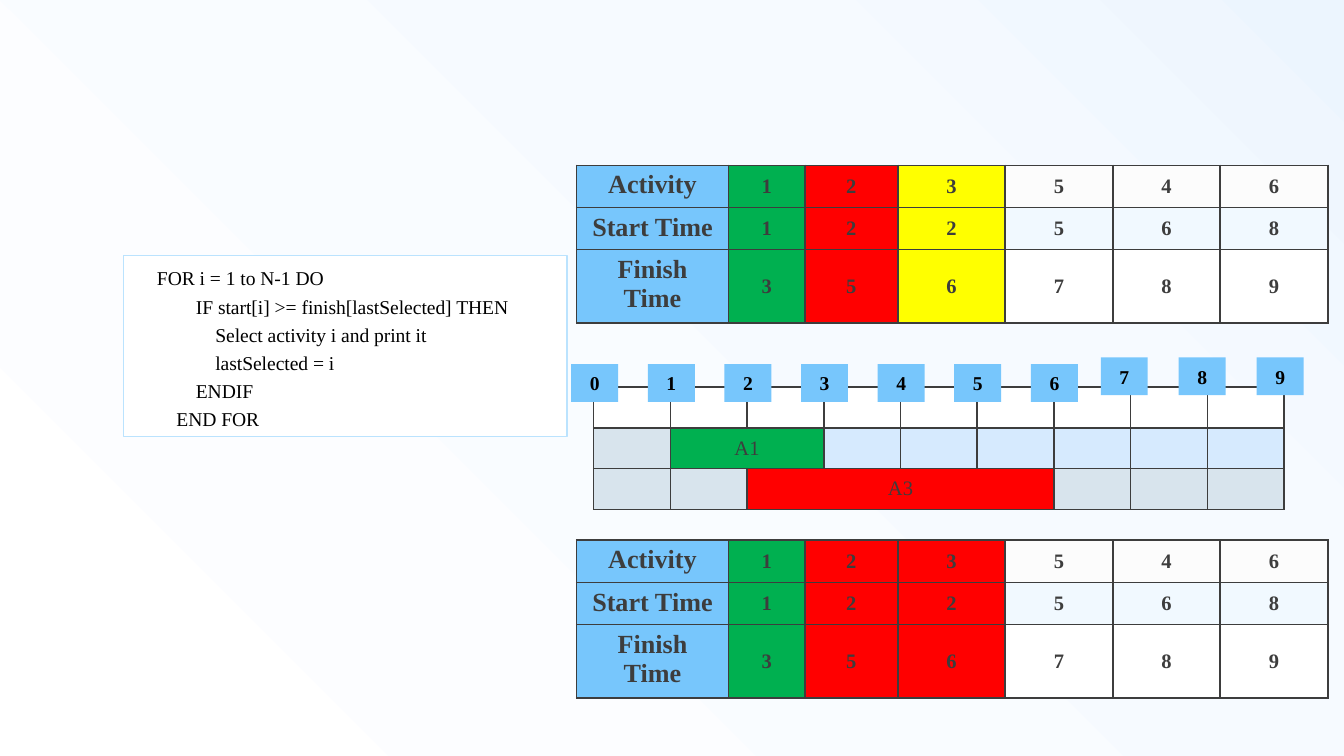
import pptx
import pptx.util
import pptx.oxml
import pptx.oxml.ns
import pptx.dml.color
import pptx.enum.shapes
import pptx.enum.text
from lxml import etree

WIDTH, HEIGHT = pptx.util.Inches(10), pptx.util.Inches(5.625)
FONT = "Times New Roman"
COLORS = {
    "head": "77C6FC", "green": "00B050", "red": "FF0000", "yellow": "FFFF00",
    "row1": "FCFCFC", "row2": "F1F9FF", "white": "FFFFFF", "ink": "3D3D3D",
    "black": "000000", "outline": "BBE3FE", "light": "D6EAFE", "gray": "D8E4ED",
}
BACKGROUND_STOPS = [(0, "ECF5FE"), (29, "F6FAFF"), (99, "FFFFFF")]
CODE = [
    "FOR i = 1 to N-1 DO",
    "        IF start[i] >= finish[lastSelected] THEN",
    "            Select activity i and print it",
    "            lastSelected = i",
    "        ENDIF",
    "    END FOR",
]
ACTIVITIES = [
    ["Activity", "1", "2", "3", "5", "4", "6"],
    ["Start Time", "1", "2", "2", "5", "6", "8"],
    ["Finish Time", "3", "5", "6", "7", "8", "9"],
]
ACTIVITY_COLS = [11.3, 5.7, 6.9, 8, 8, 8, 8]
ACTIVITY_ROWS = [5.51, 5.51, 9.6]
TIMELINE_COLS = [5.71] * 9
TIMELINE_ROWS = [5.4] * 3


def across(share):
    return int(WIDTH * share / 100)


def down(share):
    return int(HEIGHT * share / 100)


def rgb(name):
    return pptx.dml.color.RGBColor.from_string(COLORS[name])


def style_font(p, size, color, bold=False):
    p.font.name = FONT
    p.font.size = pptx.util.Pt(size)
    p.font.bold = bold
    p.font.color.rgb = rgb(color)


def set_background(s):
    s.background.fill.gradient()
    grad = s.background._cSld.bg.bgPr.find(pptx.oxml.ns.qn("a:gradFill"))
    for child in list(grad):
        grad.remove(child)
    stops = etree.SubElement(grad, pptx.oxml.ns.qn("a:gsLst"))
    for position, color in BACKGROUND_STOPS:
        stop = etree.SubElement(stops, pptx.oxml.ns.qn("a:gs"), pos=str(position * 1000))
        etree.SubElement(stop, pptx.oxml.ns.qn("a:srgbClr"), val=color)
    circle = etree.SubElement(grad, pptx.oxml.ns.qn("a:path"))
    circle.set("path", "circle")
    etree.SubElement(circle, pptx.oxml.ns.qn("a:fillToRect"), l="100000", b="100000")


def add_box(s, x, y, w, h, fill, line=None):
    sp = s.shapes.add_shape(pptx.enum.shapes.MSO_SHAPE.RECTANGLE,
                            across(x), down(y), across(w), down(h))
    sp.shadow.inherit = False
    sp.fill.solid()
    sp.fill.fore_color.rgb = rgb(fill)
    if line:
        sp.line.color.rgb = rgb(line)
        sp.line.width = pptx.util.Pt(0.75)
    else:
        sp.line.fill.background()
    tf = sp.text_frame
    tf.word_wrap = True
    tf.auto_size = pptx.enum.text.MSO_AUTO_SIZE.SHAPE_TO_FIT_TEXT
    return tf


def add_code(s):
    tf = add_box(s, 9.2, 33.78, 33, 24, "white", "outline")
    for i, line in enumerate(CODE):
        p = tf.add_paragraph() if i else tf.paragraphs[0]
        p.text = line
        p.alignment = pptx.enum.text.PP_ALIGN.LEFT
        p.line_spacing = 1.2
        p._p.get_or_add_pPr().set("marL", str(pptx.util.Inches(0.15)))
        p._p.get_or_add_pPr().set("indent", "0")
        style_font(p, 10.5, "black")


def add_tick_label(s, tick):
    x, y = (42.5 + 5.7 * tick, 48.18) if tick < 7 else (81.9 + 5.8 * (tick - 7), 47.29)
    p = add_box(s, x, y, 3.5, 4.98, "head").paragraphs[0]
    p.text = str(tick)
    p.alignment = pptx.enum.text.PP_ALIGN.CENTER
    style_font(p, 10.5, "black", True)


def add_grid(s, x, y, cols, rows):
    frame = s.shapes.add_table(len(rows), len(cols), across(x), down(y),
                               across(sum(cols)), down(sum(rows)))
    table = frame.table
    table.first_row = table.horz_banding = False
    for column, share in zip(table.columns, cols):
        column.width = across(share)
    for row, share in zip(table.rows, rows):
        row.height = down(share)
    return table


def add_borders(cell):
    tcPr = cell._tc.get_or_add_tcPr()
    for i, side in enumerate(("lnL", "lnR", "lnT", "lnB")):
        ln = etree.Element(pptx.oxml.ns.qn("a:" + side), w=str(pptx.util.Pt(1)))
        fill = etree.SubElement(ln, pptx.oxml.ns.qn("a:solidFill"))
        etree.SubElement(fill, pptx.oxml.ns.qn("a:srgbClr"), val=COLORS["ink"])
        tcPr.insert(i, ln)


def fill_cell(cell, text, fill, size=11, bold=False, anchor="MIDDLE"):
    cell.margin_left = cell.margin_right = pptx.util.Inches(0.07)
    cell.margin_top = cell.margin_bottom = pptx.util.Inches(0.04)
    cell.vertical_anchor = pptx.enum.text.MSO_ANCHOR[anchor]
    cell.fill.solid()
    cell.fill.fore_color.rgb = rgb(fill)
    add_borders(cell)
    p = cell.text_frame.paragraphs[0]
    if text:
        p.text = text
    p.alignment = pptx.enum.text.PP_ALIGN.CENTER
    style_font(p, size, "ink", bold)
    p._p.get_or_add_endParaRPr().set("sz", str(size * 100))


def add_activities(s, y, third_color):
    table = add_grid(s, 42.9, y, ACTIVITY_COLS, ACTIVITY_ROWS)
    for r, (texts, plain) in enumerate(zip(ACTIVITIES, ("row1", "row2", "white"))):
        fills = ["head", "green", "red", third_color] + [plain] * 3
        for c, (text, fill) in enumerate(zip(texts, fills)):
            if c == 0:
                fill_cell(table.cell(r, c), text, fill, 14, True, "TOP")
            else:
                fill_cell(table.cell(r, c), text, fill, bold=True)


def add_timeline(s):
    table = add_grid(s, 44.17, 51.2, TIMELINE_COLS, TIMELINE_ROWS)
    bars = {1: ("A1", "green", 1, 3), 2: ("A3", "red", 2, 6)}
    for r in range(3):
        name, color, start, finish = bars.get(r, ("", "white", 0, 0))
        for c in range(9):
            if start <= c < finish:
                fill_cell(table.cell(r, c), name if c == start else "", color)
            else:
                plain = ("white", "gray" if c == 0 else "light", "gray")[r]
                fill_cell(table.cell(r, c), "", plain)
        if name:
            table.cell(r, start).merge(table.cell(r, finish - 1))


def main():
    prs = pptx.Presentation()
    prs.slide_width, prs.slide_height = WIDTH, HEIGHT
    s = prs.slides.add_slide(prs.slide_layouts[6])
    set_background(s)
    add_code(s)
    add_activities(s, 21.87, "yellow")
    add_timeline(s)
    add_activities(s, 71.47, "red")
    for tick in range(10):
        add_tick_label(s, tick)
    prs.save("out.pptx")


if __name__ == "__main__":
    main()
